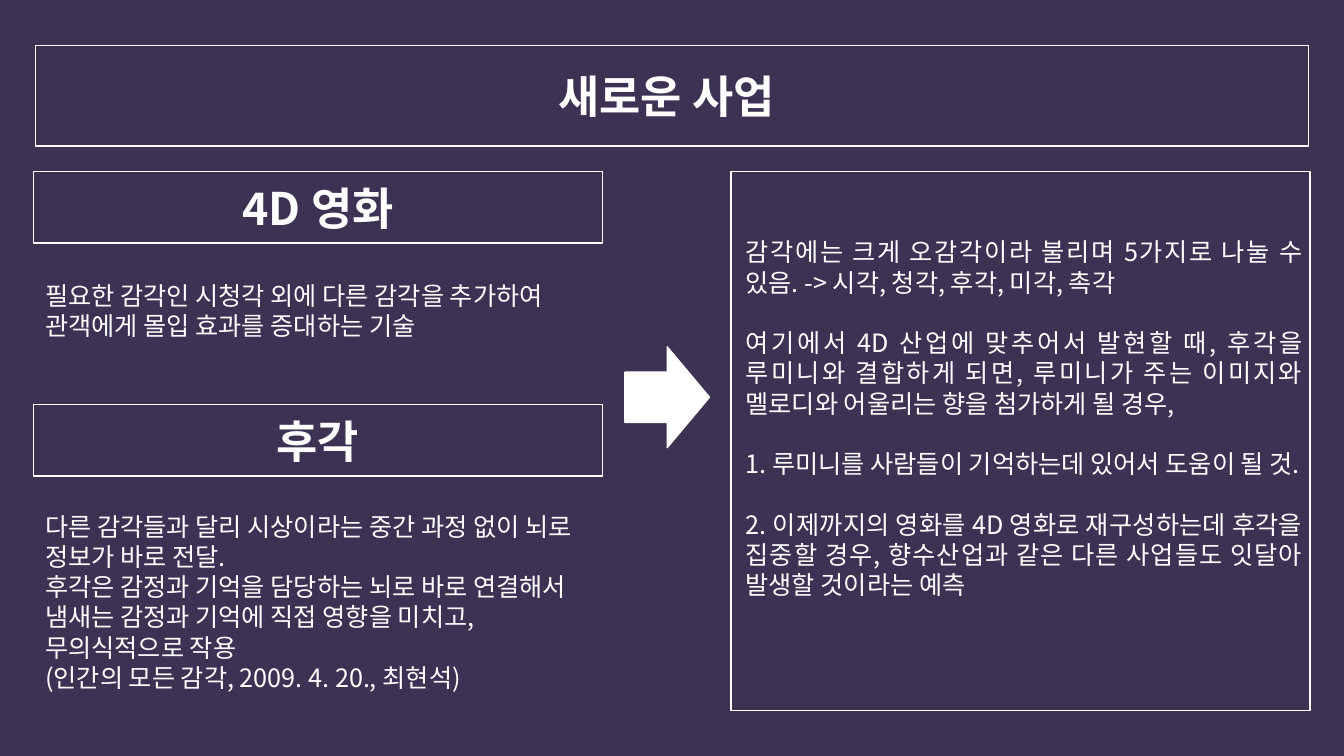
from lxml.etree import SubElement
from pptx import Presentation
from pptx.dml.color import RGBColor
from pptx.enum.shapes import MSO_SHAPE
from pptx.enum.text import MSO_ANCHOR, PP_ALIGN
from pptx.oxml.ns import qn
from pptx.util import Cm, Pt

COLORS = {"bg": "3E3254", "fg": "FFFFFF"}
FONT = "Noto Sans CJK KR"
LINE = 21.6

SECTIONS = [
    ("4D 영화", 4.32, 2.61, 1.8,
     ["필요한 감각인 시청각 외에 다른 감각을 추가하여 관객에게 몰입 효과를 증대하는 기술"]),
    ("후각", 10.19, 2.56, 4.9,
     ["다른 감각들과 달리 시상이라는 중간 과정 없이 뇌로 정보가 바로 전달.",
      "후각은 감정과 기억을 담당하는 뇌로 바로 연결해서 냄새는 감정과 기억에 직접 영향을 미치고, 무의식적으로 작용",
      "(인간의 모든 감각, 2009. 4. 20., 최현석)"]),
]
OUTLOOK = [
    "감각에는 크게 오감각이라 불리며 5가지로 나눌 수 있음. -> 시각, 청각, 후각, 미각, 촉각",
    "여기에서 4D 산업에 맞추어서 발현할 때, 후각을 루미니와 결합하게 되면, 루미니가 주는 이미지와 멜로디와 어울리는 향을 첨가하게 될 경우,",
    "1. 루미니를 사람들이 기억하는데 있어서 도움이 될 것.",
    "2. 이제까지의 영화를 4D 영화로 재구성하는데 후각을 집중할 경우, 향수산업과 같은 다른 사업들도 잇달아 발생할 것이라는 예측",
]


def color(name):
    """Return the named colour."""
    return RGBColor.from_string(COLORS[name])


def add_run(p, text, size, bold=False):
    """Add one styled run to a paragraph."""
    r = p.add_run()
    r.text = text
    r.font.name = FONT
    r.font.size = Pt(size)
    r.font.bold = bold
    r.font.color.rgb = color("fg")
    SubElement(r.font._element, qn("a:ea")).set("typeface", FONT)


def add_frame(s, x, y, w, h, shape=MSO_SHAPE.RECTANGLE, filled=False):
    """Draw an outlined shape, solid when filled."""
    sp = s.shapes.add_shape(shape, Cm(x), Cm(y), Cm(w), Cm(h))
    sp.shadow.inherit = False
    if filled:
        sp.fill.solid()
        sp.fill.fore_color.rgb = color("fg")
    else:
        sp.fill.background()
    sp.line.color.rgb = color("fg")
    sp.line.width = Pt(1)
    return sp


def add_heading(s, text, x, y, w, h):
    """Draw a framed, centred heading."""
    tf = add_frame(s, x, y, w, h).text_frame
    tf.vertical_anchor = MSO_ANCHOR.MIDDLE
    p = tf.paragraphs[0]
    p.alignment = PP_ALIGN.CENTER
    add_run(p, text, 32, True)


def add_body(s, texts, x, y, w, h, align=PP_ALIGN.LEFT, gap=0):
    """Place body paragraphs with a gap between them."""
    tf = s.shapes.add_textbox(Cm(x), Cm(y), Cm(w), Cm(h)).text_frame
    tf.word_wrap = True
    for i, text in enumerate(texts):
        p = tf.add_paragraph() if i else tf.paragraphs[0]
        p.alignment = align
        p.line_spacing = Pt(LINE)
        p.space_before = Pt(gap if i else 0)
        add_run(p, text, 18)


def add_section(s, x, y, w, heading, offset, h, texts):
    """Place a heading with its explanation below."""
    add_heading(s, heading, x, y, w, 1.81)
    add_body(s, texts, x + 0.05, y + offset, w, h)


def add_outlook(s, x, y, w, h):
    """Place the framed conclusions."""
    add_frame(s, x, y, w, h)
    add_body(s, OUTLOOK, x + 0.12, y + 1.52, w - 0.07, h - 3.33,
             PP_ALIGN.JUSTIFY, LINE)


def main():
    """Build and save the slide."""
    prs = Presentation()
    prs.slide_width, prs.slide_height = Cm(33.87), Cm(19.05)
    s = prs.slides.add_slide(prs.slide_layouts[6])
    s.background.fill.solid()
    s.background.fill.fore_color.rgb = color("bg")
    add_heading(s, "새로운 사업 ", 0.89, 1.14, 32.08, 2.54)
    add_frame(s, 15.75, 8.74, 2.13, 2.54, MSO_SHAPE.RIGHT_ARROW, True)
    for heading, y, offset, h, texts in SECTIONS:
        add_section(s, 0.84, y, 14.35, heading, offset, h, texts)
    add_outlook(s, 18.42, 4.32, 14.6, 13.59)
    prs.save("out.pptx")


if __name__ == "__main__":
    main()
